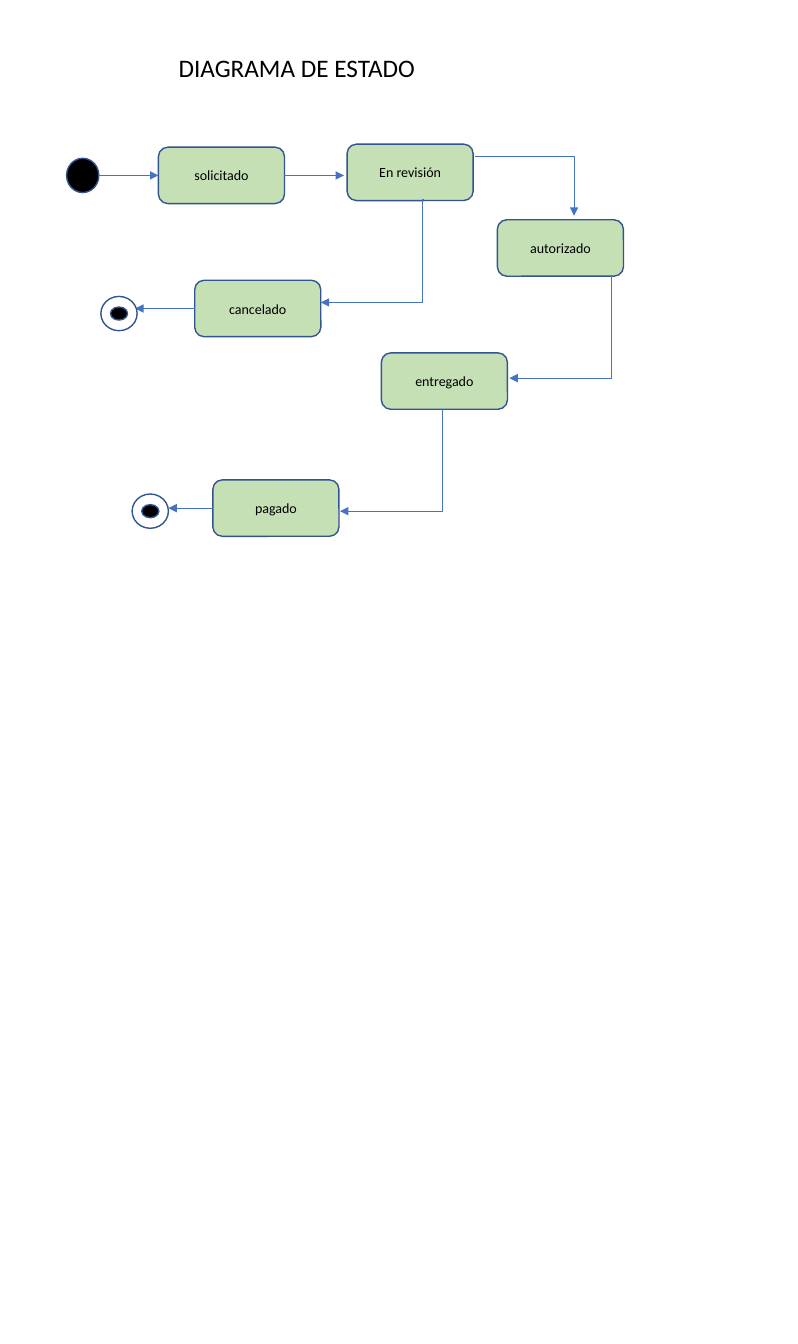
from dataclasses import dataclass

from lxml.etree import SubElement
from pptx import Presentation
from pptx.dml.color import RGBColor
from pptx.enum.shapes import MSO_CONNECTOR, MSO_SHAPE
from pptx.enum.text import MSO_ANCHOR, PP_ALIGN
from pptx.oxml.ns import qn
from pptx.util import Inches, Pt


@dataclass(frozen=True)
class Theme:
    font: str = "Calibri"
    title_size: int = 18
    state_size: int = 10
    ink: RGBColor = RGBColor(0, 0, 0)
    paper: RGBColor = RGBColor(255, 255, 255)
    state_fill: RGBColor = RGBColor(0xC5, 0xE0, 0xB4)
    outline: RGBColor = RGBColor(0x32, 0x54, 0x91)
    arrow: RGBColor = RGBColor(0x44, 0x72, 0xC4)
    outline_width: float = 1
    arrow_width: float = 0.5


THEME = Theme()
STATE_SIZE = (1.25, 0.56)
START_SIZE = (0.32, 0.34)
RING_SIZE = (0.36, 0.34)
DOT_SIZE = (0.17, 0.13)

# Positions are inches from the top left corner of the diagram.
START = (0, 0.14)
STATES = {
    "solicitado": (0.91, 0.03),
    "cancelado": (1.27, 1.35),
    "En revisión": (2.78, 0),
    "autorizado": (4.27, 0.75),
    "entregado": (3.12, 2.07),
    "pagado": (1.45, 3.33),
}
FINALS = [(0.34, 1.51), (0.65, 3.47)]
STRAIGHT_ARROWS = [
    ((0.32, 0.31), (0.91, 0.31)),
    ((2.16, 0.31), (2.75, 0.31)),
    ((1.27, 1.63), (0.68, 1.63)),
    ((1.45, 3.61), (1.01, 3.61)),
]
# The last value is where the bend lies along the width, 0 at the start.
BENT_ARROWS = [
    ((4.05, 0.12), (5.03, 0.71), 1),
    ((3.54, 0.55), (2.52, 1.57), 0.01),
    ((5.41, 1.31), (4.39, 2.32), 0.01),
    ((3.73, 2.63), (2.71, 3.64), 0.01),
]


def style_text(paragraph, size, alignment):
    paragraph.alignment = alignment
    paragraph.font.name = THEME.font
    paragraph.font.size = Pt(size)
    paragraph.font.color.rgb = THEME.ink


def add_title(slide, text, left, top, width, height):
    title = slide.shapes.title
    title.left, title.top = Inches(left), Inches(top)
    title.width, title.height = Inches(width), Inches(height)
    title.text = text
    title.text_frame.vertical_anchor = MSO_ANCHOR.TOP
    style_text(title.text_frame.paragraphs[0], THEME.title_size, PP_ALIGN.LEFT)


def add_node(slide, kind, left, top, size, fill):
    node = slide.shapes.add_shape(kind, Inches(left), Inches(top), *map(Inches, size))
    node.shadow.inherit = False
    node.fill.solid()
    node.fill.fore_color.rgb = fill
    node.line.color.rgb = THEME.outline
    node.line.width = Pt(THEME.outline_width)
    return node


def add_state(slide, name, left, top):
    state = add_node(slide, MSO_SHAPE.ROUNDED_RECTANGLE, left, top, STATE_SIZE, THEME.state_fill)
    state.text_frame.text = name
    state.text_frame.vertical_anchor = MSO_ANCHOR.MIDDLE
    style_text(state.text_frame.paragraphs[0], THEME.state_size, PP_ALIGN.CENTER)


def add_final(slide, left, top):
    """Draw the end mark: a ring with a dot in its centre."""
    dot_left, dot_top = (
        edge + (ring - dot) / 2
        for edge, ring, dot in zip((left, top), RING_SIZE, DOT_SIZE)
    )
    add_node(slide, MSO_SHAPE.FLOWCHART_CONNECTOR, left, top, RING_SIZE, THEME.paper)
    add_node(slide, MSO_SHAPE.FLOWCHART_CONNECTOR, dot_left, dot_top, DOT_SIZE, THEME.ink)


def add_arrow(slide, start, end, bend=None):
    """Draw a straight arrow, or an elbow one when a bend is given."""
    kind = MSO_CONNECTOR.STRAIGHT if bend is None else MSO_CONNECTOR.ELBOW
    arrow = slide.shapes.add_connector(kind, *map(Inches, (*start, *end)))
    arrow.line.color.rgb = THEME.arrow
    arrow.line.width = Pt(THEME.arrow_width)
    properties = arrow.element.spPr
    SubElement(properties.find(qn("a:ln")), qn("a:tailEnd"), type="triangle")
    SubElement(properties, qn("a:effectLst"))
    if bend is not None:
        adjustments = properties.find(qn("a:prstGeom")).find(qn("a:avLst"))
        SubElement(adjustments, qn("a:gd"), name="adj1", fmla=f"val {round(bend * 100000)}")


def add_state_diagram(slide, left, top):
    def place(point):
        return left + point[0], top + point[1]

    add_node(slide, MSO_SHAPE.OVAL, *place(START), START_SIZE, THEME.ink)
    for name, corner in STATES.items():
        add_state(slide, name, *place(corner))
    for start, end, *bend in STRAIGHT_ARROWS + BENT_ARROWS:
        add_arrow(slide, place(start), place(end), *bend)
    for corner in FINALS:
        add_final(slide, *place(corner))


def main():
    presentation = Presentation()
    presentation.slide_width = Inches(7.91)
    presentation.slide_height = Inches(13.33)
    title_only = presentation.slide_layouts[5]
    slide = presentation.slides.add_slide(title_only)
    add_title(slide, "DIAGRAMA DE ESTADO", 1.67, 0.47, 3.02, 0.4)
    add_state_diagram(slide, 0.66, 1.43)
    presentation.save("out.pptx")


if __name__ == "__main__":
    main()
